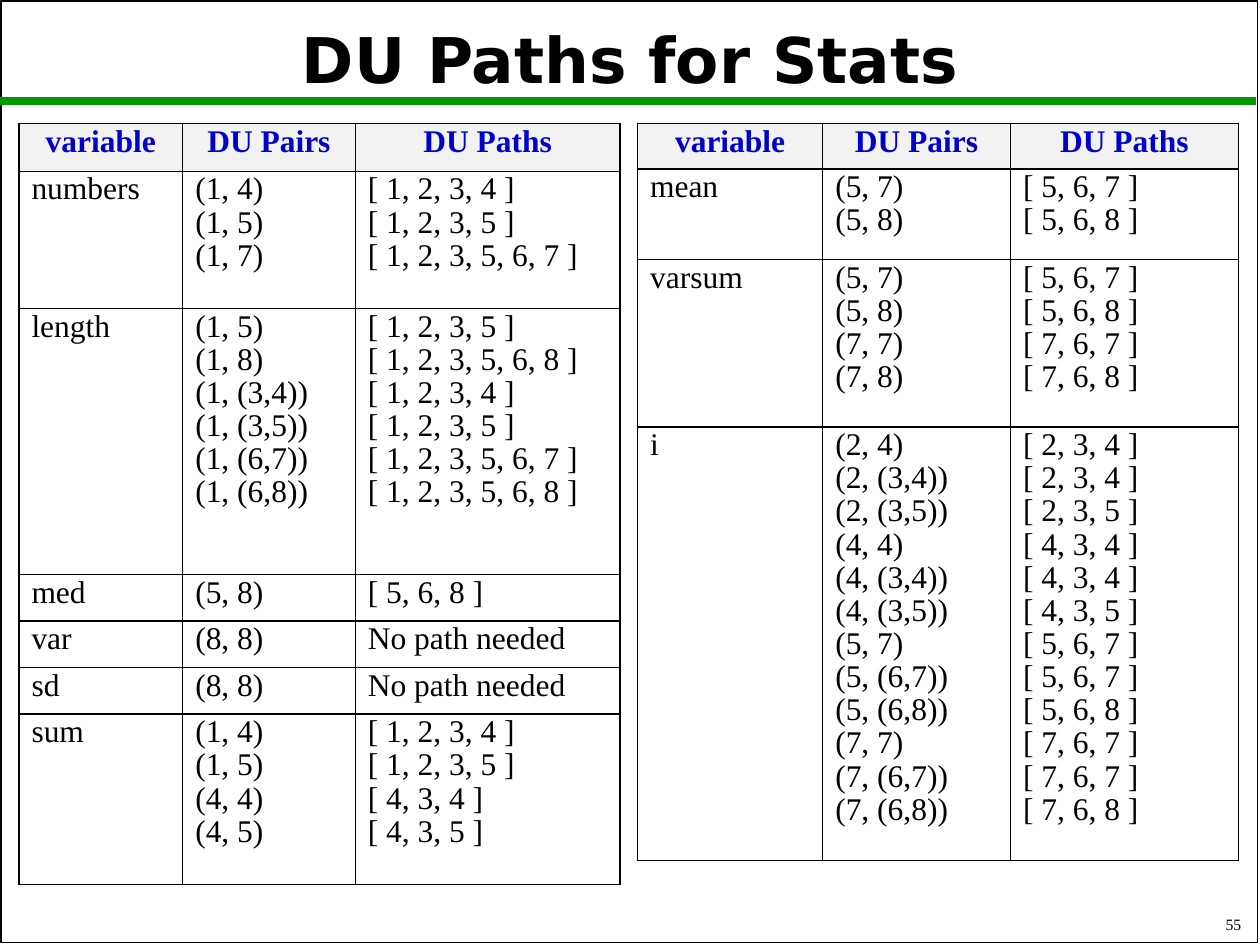
from lxml import etree
from pptx import Presentation
from pptx.dml.color import RGBColor
from pptx.enum.shapes import MSO_CONNECTOR, MSO_SHAPE
from pptx.enum.text import MSO_ANCHOR, PP_ALIGN as Align
from pptx.oxml import parse_xml
from pptx.oxml.ns import nsdecls, qn
from pptx.util import Inches, Pt

BLACK, BLUE, GREEN, GREY = "000000", "0000CC", "009900", "F2F2F2"
SERIF, SANS = "Times New Roman", "DejaVu Sans"
HEADINGS = ("variable", "DU Pairs", "DU Paths")

# Each row: height, variable, and its (DU pair, DU path) entries
LEFT_ROWS = [
    (1.09, "numbers", [("(1, 4)", "[ 1, 2, 3, 4 ]"),
                       ("(1, 5)", "[ 1, 2, 3, 5 ]"),
                       ("(1, 7)", "[ 1, 2, 3, 5, 6, 7 ]")]),
    (2.11, "length", [("(1, 5)", "[ 1, 2, 3, 5 ]"),
                      ("(1, 8)", "[ 1, 2, 3, 5, 6, 8 ]"),
                      ("(1, (3,4))", "[ 1, 2, 3, 4 ]"),
                      ("(1, (3,5))", "[ 1, 2, 3, 5 ]"),
                      ("(1, (6,7))", "[ 1, 2, 3, 5, 6, 7 ]"),
                      ("(1, (6,8))", "[ 1, 2, 3, 5, 6, 8 ]")]),
    (0.37, "med", [("(5, 8)", "[ 5, 6, 8 ]")]),
    (0.37, "var", [("(8, 8)", "No path needed")]),
    (0.37, "sd", [("(8, 8)", "No path needed")]),
    (1.35, "sum", [("(1, 4)", "[ 1, 2, 3, 4 ]"),
                   ("(1, 5)", "[ 1, 2, 3, 5 ]"),
                   ("(4, 4)", "[ 4, 3, 4 ]"),
                   ("(4, 5)", "[ 4, 3, 5 ]")]),
]
RIGHT_ROWS = [
    (0.72, "mean", [("(5, 7)", "[ 5, 6, 7 ]"),
                    ("(5, 8)", "[ 5, 6, 8 ]")]),
    (1.33, "varsum", [("(5, 7)", "[ 5, 6, 7 ]"),
                      ("(5, 8)", "[ 5, 6, 8 ]"),
                      ("(7, 7)", "[ 7, 6, 7 ]"),
                      ("(7, 8)", "[ 7, 6, 8 ]")]),
    (3.3, "i", [("(2, 4)", "[ 2, 3, 4 ]"),
                ("(2, (3,4))", "[ 2, 3, 4 ]"),
                ("(2, (3,5))", "[ 2, 3, 5 ]"),
                ("(4, 4)", "[ 4, 3, 4 ]"),
                ("(4, (3,4))", "[ 4, 3, 4 ]"),
                ("(4, (3,5))", "[ 4, 3, 5 ]"),
                ("(5, 7)", "[ 5, 6, 7 ]"),
                ("(5, (6,7))", "[ 5, 6, 7 ]"),
                ("(5, (6,8))", "[ 5, 6, 8 ]"),
                ("(7, 7)", "[ 7, 6, 7 ]"),
                ("(7, (6,7))", "[ 7, 6, 7 ]"),
                ("(7, (6,8))", "[ 7, 6, 8 ]")]),
]


def rgb(value):
    return RGBColor.from_string(value)


def format_text(frame, font, size, color=BLACK, bold=False,
                align=Align.LEFT, spacing=1.0, before=0):
    for index, paragraph in enumerate(frame.paragraphs):
        paragraph.alignment = align
        paragraph.line_spacing = spacing
        paragraph.space_before = Pt(before if index else 0)
        for run in paragraph.runs:
            run.font.name = font
            run.font.size = Pt(size)
            run.font.bold = bold
            run.font.color.rgb = rgb(color)


def set_title(slide, text):
    title = slide.shapes.title
    title.left, title.top = Inches(0.75), Inches(0.11)
    title.width, title.height = Inches(8.5), Inches(0.79)
    title.text_frame.text = text
    title.text_frame.vertical_anchor = MSO_ANCHOR.MIDDLE
    format_text(title.text_frame, SANS, 36, bold=True, align=Align.CENTER, spacing=0.9)


def add_frame(slide):
    border = slide.shapes.add_shape(MSO_SHAPE.RECTANGLE, Inches(0.01), Inches(0.01),
                                    Inches(9.97), Inches(7.47))
    border.shadow.inherit = False
    border.fill.background()
    border.line.color.rgb = rgb(BLACK)
    border.line.width = Pt(1)


def add_title_rule(slide):
    rule = slide.shapes.add_connector(MSO_CONNECTOR.STRAIGHT, Inches(0), Inches(0.8),
                                      Inches(9.97), Inches(0.8))
    rule.line.color.rgb = rgb(GREEN)
    rule.line.width = Pt(4.5)
    etree.SubElement(rule._element.spPr, qn("a:effectLst"))


def add_page_number(slide, number):
    box = slide.shapes.add_textbox(Inches(7.87), Inches(7.17), Inches(2.08), Inches(0.29))
    frame = box.text_frame
    frame.word_wrap = False
    frame.vertical_anchor = MSO_ANCHOR.BOTTOM
    frame.text = number
    format_text(frame, SERIF, 9, align=Align.RIGHT)


def add_borders(cell):
    # Border elements come before the fill in the cell properties
    properties = cell._tc.get_or_add_tcPr()
    for index, side in enumerate("LRTB"):
        properties.insert(index, parse_xml(
            f'<a:ln{side} {nsdecls("a")} w="{Pt(1)}"><a:solidFill>'
            f'<a:srgbClr val="{BLACK}"/></a:solidFill></a:ln{side}>'))


def fill_cell(cell, text, heading):
    cell.text_frame.text = text
    if heading:
        cell.fill.solid()
        cell.fill.fore_color.rgb = rgb(GREY)
    else:
        cell.fill.background()
    format_text(cell.text_frame, SERIF, 18, BLUE if heading else BLACK, heading,
                Align.CENTER if heading else Align.LEFT, spacing=0.8, before=3)
    add_borders(cell)


def add_du_table(slide, left, widths, heading_height, variables):
    heights = [heading_height] + [height for height, _, _ in variables]
    contents = [HEADINGS]
    for _, variable, entries in variables:
        pairs, paths = zip(*entries)
        contents.append((variable, "\n".join(pairs), "\n".join(paths)))

    table = slide.shapes.add_table(len(heights), len(widths), Inches(left), Inches(0.98),
                                   Inches(sum(widths)), Inches(sum(heights))).table
    table.first_row = table.horz_banding = False
    for column, width in zip(table.columns, widths):
        column.width = Inches(width)
    for index, (row, height) in enumerate(zip(table.rows, heights)):
        row.height = Inches(height)
        for cell, text in zip(row.cells, contents[index]):
            fill_cell(cell, text, heading=index == 0)


def main():
    deck = Presentation()
    deck.slide_width, deck.slide_height = Inches(10), Inches(7.5)
    slide = deck.slides.add_slide(deck.slide_layouts[5])

    # Page frame, title and page number
    add_frame(slide)
    add_title_rule(slide)
    add_page_number(slide, "55")
    set_title(slide, "DU Paths for Stats")

    # Definition-use tables
    add_du_table(slide, 0.15, (1.3, 1.37, 2.1), 0.38, LEFT_ROWS)
    add_du_table(slide, 5.06, (1.47, 1.49, 1.81), 0.36, RIGHT_ROWS)
    deck.save("out.pptx")


if __name__ == "__main__":
    main()
